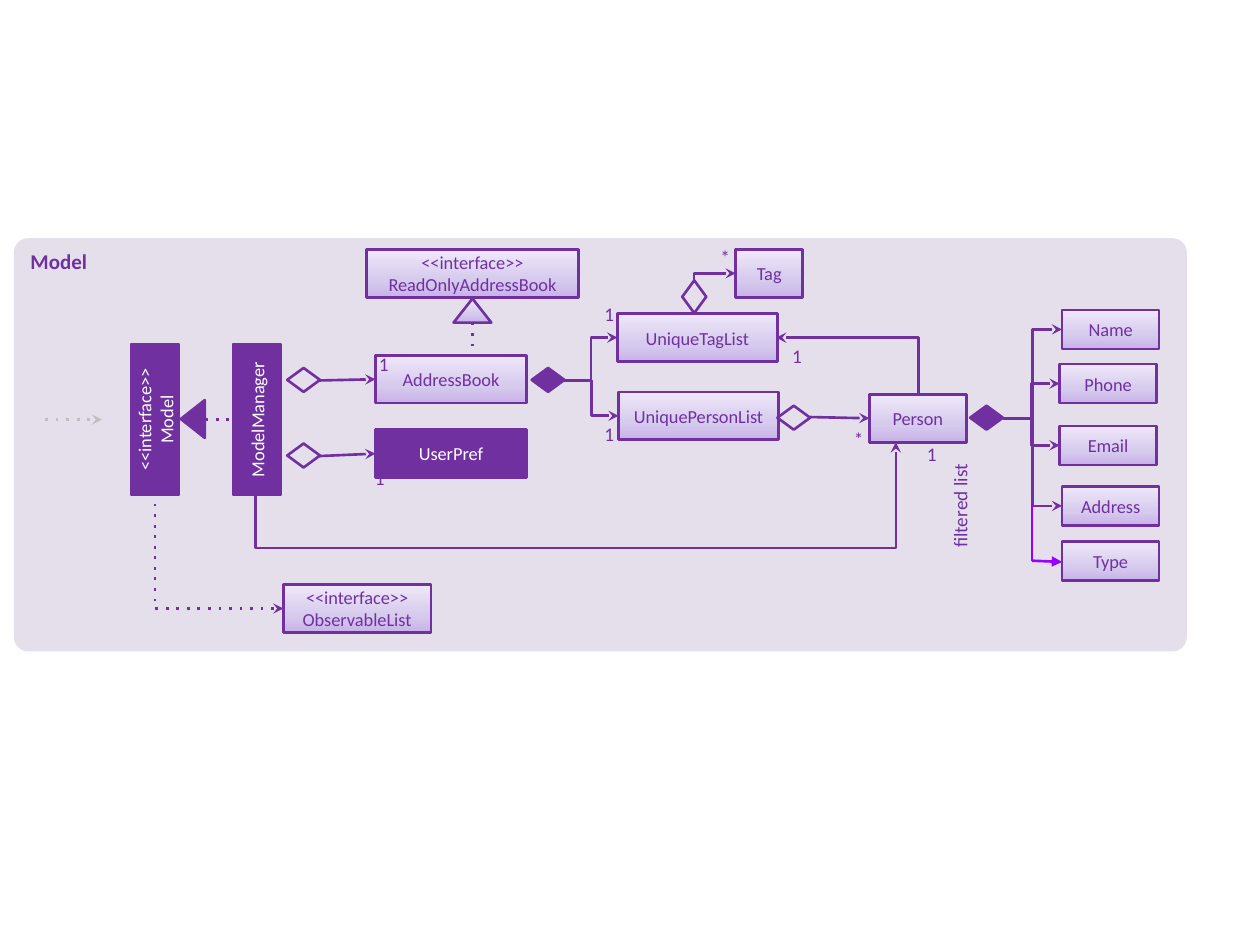
from copy import deepcopy

from lxml import etree
from pptx import Presentation
from pptx.dml.color import RGBColor
from pptx.enum.shapes import MSO_CONNECTOR, MSO_SHAPE
from pptx.enum.text import MSO_ANCHOR, PP_ALIGN
from pptx.oxml.ns import qn
from pptx.util import Inches, Pt

PURPLE = RGBColor(0x70, 0x30, 0xA0)
VIOLET = RGBColor(0x99, 0x00, 0xFF)
LILAC = RGBColor(0xE5, 0xDF, 0xEC)
GREY = RGBColor(0xBF, 0xBF, 0xBF)
WHITE = RGBColor(0xFF, 0xFF, 0xFF)
GRADIENT = [
    (0, RGBColor(0xC8, 0xB2, 0xE9)),
    (0.35, RGBColor(0xD6, 0xCA, 0xED)),
    (1, RGBColor(0xEF, 0xE8, 0xFA)),
]
RECT, PANEL = MSO_SHAPE.RECTANGLE, MSO_SHAPE.ROUNDED_RECTANGLE
DIAMOND, TRIANGLE = MSO_SHAPE.FLOWCHART_DECISION, MSO_SHAPE.ISOSCELES_TRIANGLE
STRAIGHT, ELBOW = MSO_CONNECTOR.STRAIGHT, MSO_CONNECTOR.ELBOW
LEFT, CENTER, RIGHT = PP_ALIGN.LEFT, PP_ALIGN.CENTER, PP_ALIGN.RIGHT
TOP, MIDDLE = MSO_ANCHOR.TOP, MSO_ANCHOR.MIDDLE
BOX_HEIGHT = 0.38
FIELD_WIDTH, FIELD_HEIGHT = 0.77, 0.31


class Diagram:
    """Draws class-diagram elements on one page in a shared style."""

    font = "Calibri"
    line_width = Pt(1.5)

    def __init__(self, page):
        self.page = page

    def set_text(self, frame, text, align=CENTER, color=PURPLE, **formats):
        frame.word_wrap = True
        frame.text = text
        values = {"name": self.font, "size": Pt(10.5), "bold": False, **formats}
        for para in frame.paragraphs:
            para.alignment = align
            for span in para.runs:
                span.font.color.rgb = color
                for name, value in values.items():
                    setattr(span.font, name, value)

    def shape(self, kind, left, top, width, height, fill=None, rotation=0, line=PURPLE):
        """Fill is None, one colour, or a list of gradient stops."""
        shape = self.page.shapes.add_shape(
            kind, Inches(left), Inches(top), Inches(width), Inches(height))
        shape.shadow.inherit = False
        shape.rotation = rotation
        if fill is None:
            shape.fill.background()
        elif isinstance(fill, list):
            self.shade(shape, fill)
        else:
            shape.fill.solid()
            shape.fill.fore_color.rgb = fill
        if line is None:
            shape.line.fill.background()
        else:
            shape.line.color.rgb = line
            shape.line.width = self.line_width
        return shape

    def shade(self, shape, stops):
        shape.fill.gradient()
        shape.fill.gradient_angle = 90
        stop_list = next(shape._element.spPr.iter(qn("a:gsLst")))
        while len(stop_list) < len(stops):
            stop_list.append(deepcopy(stop_list[0]))
        for stop, (position, color) in zip(shape.fill.gradient_stops, stops):
            stop.position = position
            stop.color.rgb = color

    def box(self, text, left, top, width, height=BOX_HEIGHT, solid=False, rotation=0):
        box = self.shape(RECT, left, top, width, height,
                         PURPLE if solid else GRADIENT, rotation)
        box.text_frame.vertical_anchor = MIDDLE
        self.set_text(box.text_frame, text, color=WHITE if solid else PURPLE)

    def panel(self, text, left, top, width, height):
        panel = self.shape(PANEL, left, top, width, height, LILAC, line=None)
        panel.adjustments[0] = 0.035
        panel.text_frame.vertical_anchor = TOP
        self.set_text(panel.text_frame, text, LEFT, size=Pt(12), bold=True)

    def diamond(self, left, top, fill=None, rotation=0):
        self.shape(DIAMOND, left, top, 0.26, 0.19, fill, rotation)

    def label(self, text, left, top, width=0.21, height=0.2,
              align=CENTER, margins=(0, 0), rotation=0):
        label = self.page.shapes.add_textbox(
            Inches(left), Inches(top), Inches(width), Inches(height))
        label.rotation = rotation
        frame = label.text_frame
        frame.margin_left = frame.margin_right = Inches(margins[0])
        frame.margin_top = frame.margin_bottom = Inches(margins[1])
        self.set_text(frame, text, align, size=Pt(11))

    def connect(self, start, end, kind=STRAIGHT, color=PURPLE, dotted=False,
                head=None, tail="stealth"):
        link = self.page.shapes.add_connector(
            kind, *(Inches(value) for value in (*start, *end)))
        link.line.color.rgb = color
        link.line.width = self.line_width
        outline = link._element.spPr.find(qn("a:ln"))
        if dotted:
            etree.SubElement(outline, qn("a:prstDash"), val="dot")
        for tag, arrow in (("a:headEnd", head), ("a:tailEnd", tail)):
            if arrow:
                etree.SubElement(outline, qn(tag), type=arrow)
        etree.SubElement(link._element.spPr, qn("a:effectLst"))
        return link

    def corner(self, arrow_at, end, dotted=False):
        """One-bend connector with its arrowhead on the horizontal leg."""
        link = self.connect(arrow_at, end, ELBOW, dotted=dotted,
                            head="stealth", tail=None)
        link._element.spPr.find(qn("a:prstGeom")).set("prst", "bentConnector2")

    def detour(self, start, end, low):
        """Run down from start to the level low, across, and up to end."""
        rise, run = start[1] - end[1], end[0] - start[0]
        middle_x, middle_y = (start[0] + end[0]) / 2, (start[1] + end[1]) / 2
        link = self.connect((middle_x - rise / 2, middle_y - run / 2),
                            (middle_x + rise / 2, middle_y + run / 2), ELBOW)
        properties = link._element.spPr
        properties.find(qn("a:xfrm")).set("rot", str(270 * 60000))
        geometry = properties.find(qn("a:prstGeom"))
        geometry.set("prst", "bentConnector4")
        guides = geometry.get_or_add_avLst()
        bends = {"adj1": (start[1] - low) / rise, "adj2": 1}
        for name, ratio in bends.items():
            etree.SubElement(guides, qn("a:gd"), name=name,
                             fmla=f"val {round(ratio * 100000)}")


def draw_model(diagram):
    diagram.panel("Model", 0.11, 1.89, 9.31, 3.28)

    diagram.box("UserPref", 2.98, 3.41, 1.2, solid=True)
    diagram.box("ModelManager", 1.44, 3.14, 1.2, solid=True, rotation=270)
    diagram.box("<<interface>>\nModel", 0.63, 3.14, 1.2, solid=True, rotation=270)
    for text, left, top, width in [
        ("AddressBook", 2.98, 2.82, 1.2),
        ("UniquePersonList", 4.91, 3.11, 1.27),
        ("UniqueTagList", 4.9, 2.49, 1.27),
        ("Person", 6.9, 3.13, 0.77),
        ("Tag", 5.84, 1.98, 0.53),
        ("<<interface>>\vReadOnlyAddressBook", 2.91, 1.98, 1.68),
        ("<<interface>>\vObservableList", 2.25, 4.64, 1.17),
    ]:
        diagram.box(text, left, top, width)

    diagram.shape(TRIANGLE, 1.38, 3.23, 0.3, 0.19, PURPLE, 270)
    diagram.shape(TRIANGLE, 3.6, 2.37, 0.3, 0.19, GRADIENT)
    for left, top in [(2.28, 3.52), (2.28, 2.92), (6.17, 3.22)]:
        diagram.diamond(left, top)
    diagram.diamond(5.38, 2.26, rotation=270)
    for left, top in [(4.22, 2.92), (7.7, 3.22)]:
        diagram.diamond(left, top, PURPLE)

    diagram.connect((2.53, 3.62), (2.98, 3.6))
    diagram.connect((2.53, 3.02), (2.98, 3.01))
    diagram.connect((6.43, 3.31), (6.9, 3.32))
    diagram.connect((0.36, 3.33), (0.81, 3.33), color=GREY, dotted=True)
    diagram.connect((1.63, 3.33), (1.86, 3.33), dotted=True, tail=None)
    diagram.connect((3.75, 2.56), (3.75, 2.88), dotted=True, tail=None)
    for end in [(4.91, 3.3), (4.9, 2.68)]:
        diagram.connect((4.48, 3.02), end, ELBOW)
    diagram.corner((5.84, 2.17), (5.51, 2.23))
    diagram.corner((6.16, 2.68), (7.29, 3.13))
    diagram.corner((2.25, 4.83), (1.23, 3.92), dotted=True)
    diagram.detour((2.03, 3.92), (7.11, 3.51), 4.35)

    for text, left, top in [("Name", 8.43, 2.46), ("Phone", 8.41, 2.89),
                            ("Email", 8.41, 3.38), ("Address", 8.43, 3.86)]:
        diagram.box(text, left, top, FIELD_WIDTH, FIELD_HEIGHT)
        diagram.connect((7.96, 3.32), (left, top + FIELD_HEIGHT / 2), ELBOW)
    diagram.connect((8.19, 4.45), (8.19, 3.99), color=VIOLET, tail=None)
    diagram.connect((8.19, 4.45), (8.43, 4.46), color=VIOLET, tail="triangle")
    diagram.box("Type", 8.43, 4.3, FIELD_WIDTH, FIELD_HEIGHT)

    diagram.label("filtered list", 7.14, 3.92, 0.96, 0.29, RIGHT, (0.1, 0.05), 270)
    for text, left, top in [
        ("1", 4.73, 2.4), ("1", 4.73, 3.35), ("1", 6.22, 2.73), ("*", 5.65, 1.95),
        ("*", 6.71, 3.39), ("1", 2.94, 2.8), ("1", 2.91, 3.7), ("1", 7.29, 3.51),
    ]:
        diagram.label(text, left, top)


def main():
    deck = Presentation()
    deck.slide_width, deck.slide_height = Inches(10), Inches(7.5)
    draw_model(Diagram(deck.slides.add_slide(deck.slide_layouts[6])))
    deck.save("out.pptx")


if __name__ == "__main__":
    main()
